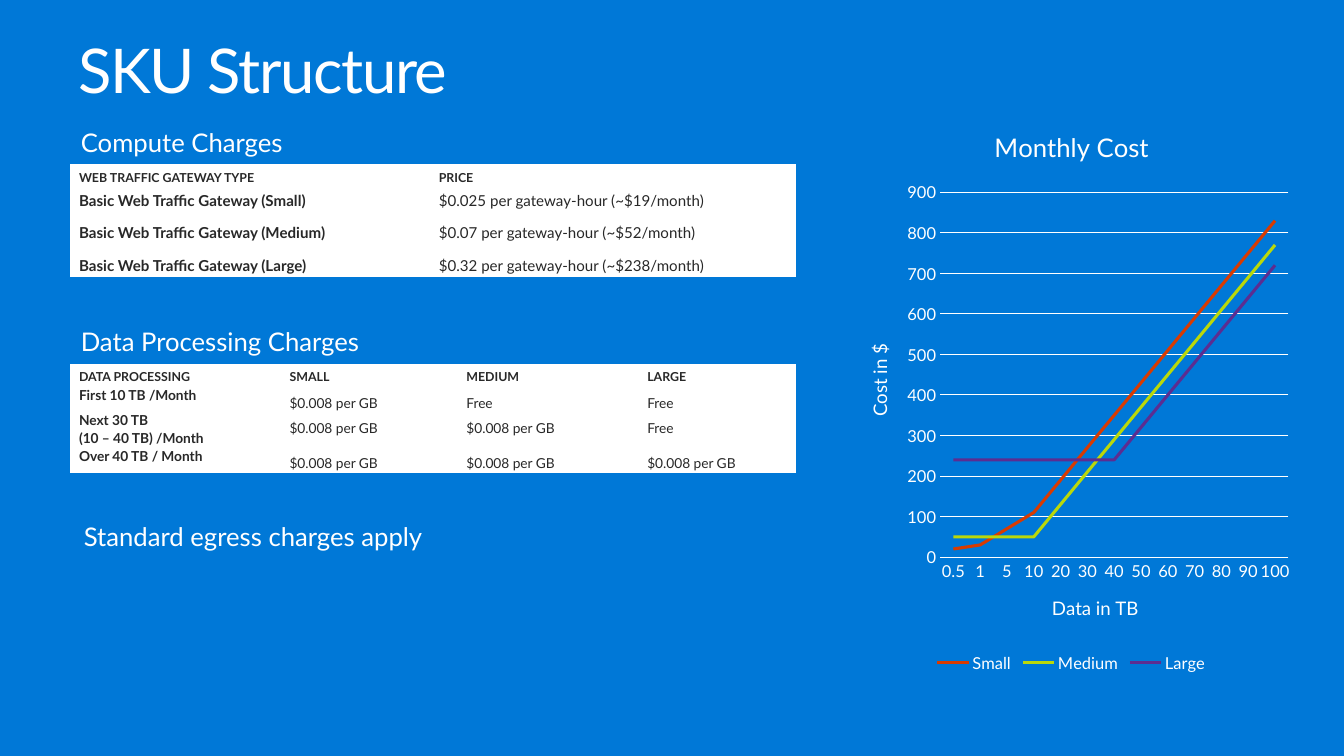
"""Build the SKU Structure slide with its price tables and monthly cost chart."""
from dataclasses import dataclass, field
from typing import Any

from lxml.etree import SubElement
from pptx import Presentation
from pptx.chart.chart import Chart
from pptx.chart.data import CategoryChartData
from pptx.dml.color import RGBColor
from pptx.enum.chart import XL_CHART_TYPE, XL_LEGEND_POSITION, XL_TICK_MARK
from pptx.oxml import parse_xml
from pptx.oxml.ns import nsdecls, qn
from pptx.slide import Slide
from pptx.util import Pt

BLUE = RGBColor(0x00, 0x78, 0xD7)
WHITE = RGBColor(0xFF, 0xFF, 0xFF)
DARK = RGBColor(0x28, 0x28, 0x28)
ORANGE = RGBColor(0xD8, 0x3B, 0x01)
LIME = RGBColor(0xBA, 0xD8, 0x0A)
PURPLE = RGBColor(0x5C, 0x2D, 0x91)
FONT = "Lato"


@dataclass
class Label:
    text: str
    left: float
    top: float
    width: float
    height: float
    size: float = 18.7
    frame: dict[str, Any] = field(default_factory=dict)
    line_spacing: float = 1.0
    tracking: int = 0


@dataclass
class PriceTable:
    top: float
    columns: list[float]
    heights: list[float]
    rows: list[list[str]]
    name_size: float
    price_size: float
    price_spacing: Any


@dataclass
class CostSeries:
    name: str
    color: RGBColor
    values: list[int]


TITLE_INSETS = {"margin_left": Pt(11.5), "margin_right": Pt(11.5),
                "margin_top": Pt(7.2), "margin_bottom": Pt(7.2)}
LABELS = [
    Label("SKU Structure", 45.4, 22.3, 890, 49, 44.9, TITLE_INSETS, 0.9, -100),
    Label("Compute Charges", 51.8, 88.6, 173.5, 30.2),
    Label("Data Processing Charges", 51.8, 234, 319.7, 30.2),
    Label("Standard egress charges apply", 54, 375.8, 319.7, 30.2),
]
RATE = "$0.008 per GB"
TABLES = [
    PriceTable(120.2, [262.1, 265.7], [18.7, 23, 23.8, 15.8], [
        ["WEB TRAFFIC GATEWAY TYPE", "PRICE"],
        ["Basic Web Traffic Gateway (Small)", "$0.025 per gateway-hour (~$19/month)"],
        ["Basic Web Traffic Gateway (Medium)", "$0.07 per gateway-hour (~$52/month)"],
        ["Basic Web Traffic Gateway (Large)", "$0.32 per gateway-hour (~$238/month)"],
    ], 11, 11, 1.07),
    PriceTable(265.7, [153.4, 128.9, 131.8, 113.8], [15.8, 18.2, 26, 18.2], [
        ["DATA PROCESSING", "SMALL", "MEDIUM", "LARGE"],
        ["First 10 TB /Month", RATE, "Free", "Free"],
        ["Next 30 TB\v(10 – 40 TB) /Month", RATE, RATE, "Free"],
        ["Over 40 TB / Month", RATE, RATE, RATE],
    ], 10, 10, Pt(18)),
]
DATA_SIZES = ["0.5", "1", "5", *(str(size) for size in range(10, 101, 10))]
SERIES = [
    CostSeries("Small", ORANGE, [20, 30, 70, *range(110, 831, 80)]),
    CostSeries("Medium", LIME, [50] * 3 + list(range(50, 771, 80))),
    CostSeries("Large", PURPLE, [240] * 6 + list(range(240, 721, 80))),
]


def style_font(font: Any, size: float, color: RGBColor, bold: bool = False) -> None:
    """Apply the slide typeface with a size, colour and weight."""
    for name, value in {"name": FONT, "size": Pt(size), "bold": bold}.items():
        setattr(font, name, value)
    font.color.rgb = color


def add_label(slide: Slide, label: Label) -> None:
    """Add one white text box."""
    shape = slide.shapes.add_textbox(
        Pt(label.left), Pt(label.top), Pt(label.width), Pt(label.height))
    for name, value in {"word_wrap": True, **label.frame}.items():
        setattr(shape.text_frame, name, value)
    paragraph = shape.text_frame.paragraphs[0]
    paragraph.line_spacing = label.line_spacing
    run = paragraph.add_run()
    run.text = label.text
    style_font(run.font, label.size, WHITE)
    if label.tracking:
        run.font._element.set("spc", str(label.tracking))


def add_borders(cell: Any, is_header: bool) -> None:
    """Draw white borders around a cell, thicker under the header."""
    properties = cell._tc.get_or_add_tcPr()
    for side in ("lnL", "lnR", "lnT", "lnB"):
        width = Pt(3 if is_header and side == "lnB" else 1)
        line = SubElement(properties, qn(f"a:{side}"), w=str(width))
        fill = SubElement(line, qn("a:solidFill"))
        SubElement(fill, qn("a:srgbClr"), val=str(WHITE))


def add_price_table(slide: Slide, prices: PriceTable) -> None:
    """Add one white price table."""
    table = slide.shapes.add_table(
        len(prices.rows), len(prices.columns), Pt(51.8), Pt(prices.top),
        Pt(sum(prices.columns)), Pt(sum(prices.heights))).table
    for column, width in zip(table.columns, prices.columns):
        column.width = Pt(width)
    cell_format = {"margin_left": Pt(5.8), "margin_right": Pt(5.8),
                   "margin_top": 0, "margin_bottom": 0}
    for row_index, (texts, height) in enumerate(zip(prices.rows, prices.heights)):
        table.rows[row_index].height = Pt(height)
        is_header = row_index == 0
        for column_index, text in enumerate(texts):
            cell = table.cell(row_index, column_index)
            is_name = column_index == 0
            for name, value in cell_format.items():
                setattr(cell, name, value)
            add_borders(cell, is_header)
            cell.fill.solid()
            cell.fill.fore_color.rgb = WHITE
            size, spacing = ((9, Pt(14.4)) if is_header
                             else (prices.name_size, 1.07) if is_name
                             else (prices.price_size, prices.price_spacing))
            paragraph = cell.text_frame.paragraphs[0]
            paragraph.text = text
            paragraph.line_spacing = spacing
            for run in paragraph.runs:
                style_font(run.font, size, DARK, is_header or is_name)


def set_layout(parent: Any, index: int, **position: float) -> None:
    """Place a chart part at fractions of the chart area."""
    for layout in parent.findall(qn("c:layout")):
        parent.remove(layout)
    target = '<c:layoutTarget val="inner"/>' if parent.tag == qn("c:plotArea") else ""
    modes = '<c:xMode val="edge"/><c:yMode val="edge"/>'
    values = "".join(f'<c:{name} val="{value}"/>' for name, value in position.items())
    parent.insert(index, parse_xml(
        f'<c:layout {nsdecls("c")}><c:manualLayout>{target}{modes}{values}'
        "</c:manualLayout></c:layout>"))


def add_chart_title(title: Any, text: str, size: float, x: float, y: float) -> None:
    """Write and place a chart or axis title."""
    paragraph = title.text_frame.paragraphs[0]
    run = paragraph.add_run()
    run.text = text
    style_font(run.font, size, WHITE)
    set_layout(title.element, 1, x=x, y=y)


def style_axes(chart: Chart) -> None:
    """Format both axes and the gridlines."""
    for axis in (chart.category_axis, chart.value_axis):
        axis.major_tick_mark = axis.minor_tick_mark = XL_TICK_MARK.NONE
        style_font(axis.tick_labels.font, 12, WHITE)
    value_format = {"minimum_scale": 0, "maximum_scale": 900, "major_unit": 100}
    for name, value in value_format.items():
        setattr(chart.value_axis, name, value)
    chart.value_axis.format.line.fill.background()
    for line in (chart.category_axis.format.line,
                 chart.value_axis.major_gridlines.format.line):
        line.color.rgb = WHITE
        line.width = Pt(0.75)


def add_cost_chart(slide: Slide) -> None:
    """Add the monthly cost line chart."""
    data = CategoryChartData()
    data.categories = DATA_SIZES
    for series in SERIES:
        data.add_series(series.name, series.values)
    chart = slide.shapes.add_chart(XL_CHART_TYPE.LINE, Pt(615.6), Pt(77.8),
                                   Pt(329.8), Pt(415.4), data).chart
    style_font(chart.font, 10, WHITE)
    chart.plots[0].vary_by_categories = False
    for plotted, series in zip(chart.plots[0].series, SERIES):
        plotted.smooth = False
        plotted.format.line.color.rgb = series.color
        plotted.format.line.width = Pt(2.25)
    style_axes(chart)
    add_chart_title(chart.chart_title, "Monthly Cost", 18.7, 0.32, 0.03)
    add_chart_title(chart.category_axis.axis_title, "Data in TB", 13.6, 0.45, 0.85)
    value_title = chart.value_axis.axis_title
    add_chart_title(value_title, "Cost in $", 13.6, 0.04, 0.41)
    for body in value_title.element.iter(qn("a:bodyPr")):
        body.set("rot", "-5400000")
        body.set("vert", "horz")
    chart.has_legend = True
    chart.legend.position = XL_LEGEND_POSITION.BOTTOM
    chart.legend.include_in_layout = False
    style_font(chart.legend.font, 12, WHITE)
    set_layout(next(chart.element.iter(qn("c:legend"))), 1, x=0.19, y=0.95, w=0.62, h=0.05)
    set_layout(next(chart.element.iter(qn("c:plotArea"))), 0, x=0.21, y=0.15, w=0.77, h=0.64)


def main() -> None:
    """Assemble and save the presentation."""
    presentation = Presentation()
    presentation.slide_width, presentation.slide_height = Pt(979.2), Pt(550.8)
    slide = presentation.slides.add_slide(presentation.slide_layouts[6])
    slide.background.fill.solid()
    slide.background.fill.fore_color.rgb = BLUE
    for label in LABELS:
        add_label(slide, label)
    for prices in TABLES:
        add_price_table(slide, prices)
    add_cost_chart(slide)
    presentation.save("out.pptx")


if __name__ == "__main__":
    main()
